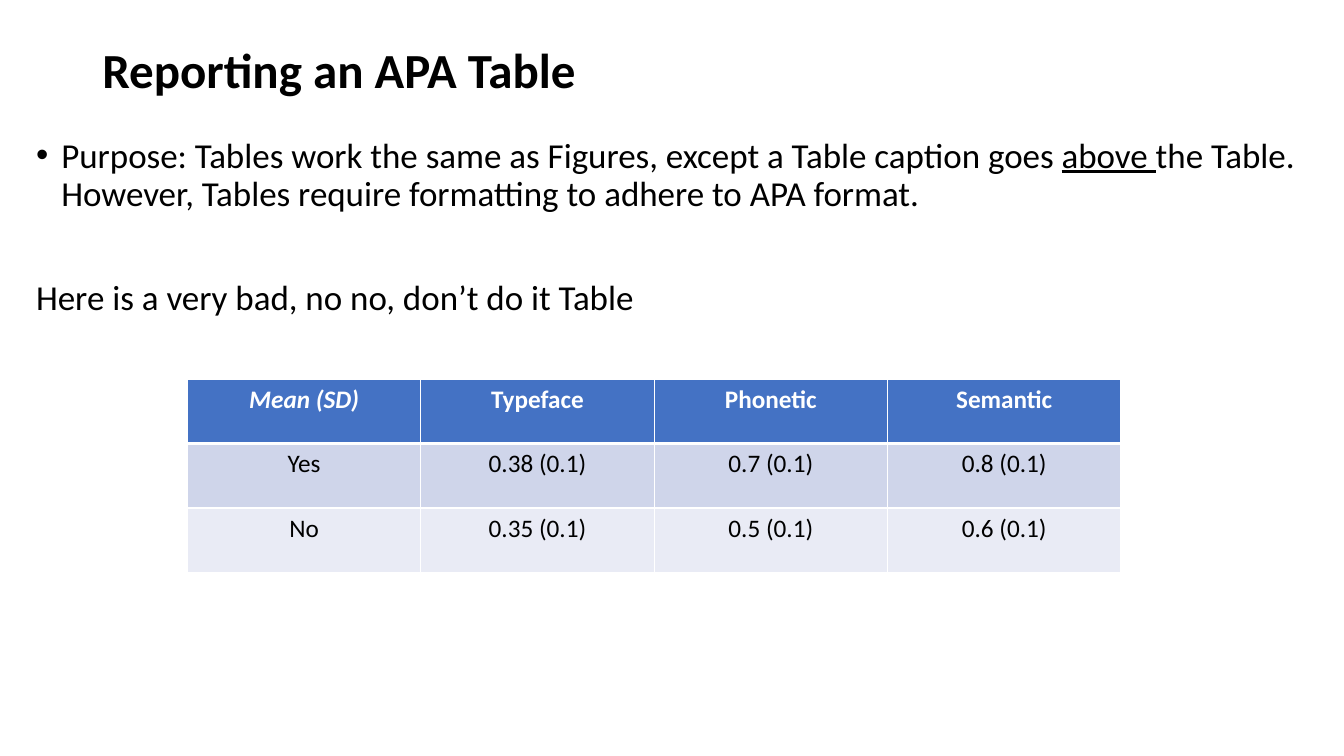
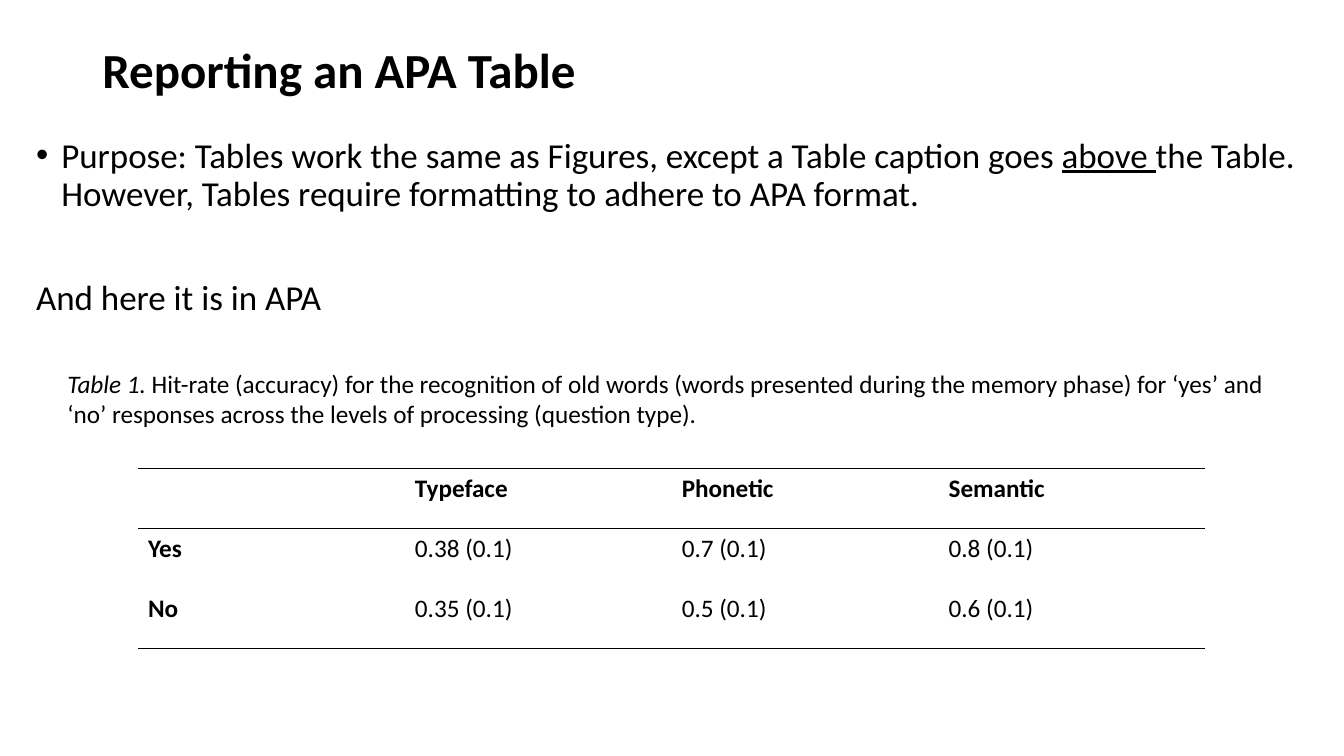
from dataclasses import dataclass
from typing import NamedTuple

from lxml import etree
from pptx import Presentation
from pptx.dml.color import RGBColor
from pptx.enum import text as t
from pptx.oxml import ns
from pptx.util import Pt

FONT = "Calibri"
BLACK, WHITE = "000000", "FFFFFF"
BLUE, BAND, PALE = "4472C4", "CFD5EA", "E9EBF5"
LEFT, MID = t.PP_ALIGN.LEFT, t.PP_ALIGN.CENTER
DATA = [
    ["Typeface", "Phonetic", "Semantic"],
    ["0.38 (0.1)", "0.7 (0.1)", "0.8 (0.1)"],
    ["0.35 (0.1)", "0.5 (0.1)", "0.6 (0.1)"],
]


class Box(NamedTuple):
    left: float
    top: float
    width: float
    height: float


class Span(NamedTuple):
    text: str
    bold: bool = False
    italic: bool = False
    under: bool = False


@dataclass
class Para:
    spans: list[Span]
    size: float
    line: float = 1.0
    before: float = 0
    bullet: bool = False


@dataclass
class Grid:
    box: Box
    corner: str
    align: t.PP_ALIGN
    apa: bool


TITLE = Box(66, 0, 828, 104.4)
BODY = Box(18.72, 95.04, 922.32, 429.12)
CAPTION = Box(41.04, 259.2, 887.04, 51.12)
PURPOSE = [
    Span("Purpose: Tables work the same as Figures, except a Table caption goes "),
    Span("above ", under=True),
    Span("the Table. However, Tables require formatting to adhere to APA format."),
]
NOTE = [
    Span("Table 1.", italic=True),
    Span(" Hit-rate (accuracy) for the recognition of old words (words presented "
         "during the memory phase) for ‘yes’ and ‘no’ responses across the levels "
         "of processing (question type)."),
]
BAD = Grid(Box(133.9, 270.8, 666.72, 138.24), "Mean (SD)", MID, False)
GOOD = Grid(Box(98.6, 334.8, 762.5, 128.7), "", LEFT, True)


def rgb(code: str) -> RGBColor:
    return RGBColor.from_string(code)


def style(run, size: float, span: Span, color: str = BLACK) -> None:
    font = run.font
    font.name, font.size = FONT, Pt(size)
    font.bold, font.italic, font.underline = span.bold, span.italic, span.under
    font.color.rgb = rgb(color)


# Text boxes
def add_bullet(para) -> None:
    props = para._p.get_or_add_pPr()
    props.set("marL", str(Pt(18)))
    props.set("indent", str(-Pt(18)))
    etree.SubElement(props, ns.qn("a:buFont")).set("typeface", "Arial")
    etree.SubElement(props, ns.qn("a:buChar")).set("char", "•")


def add_text(slide, box: Box, paras: list[Para],
             anchor: t.MSO_ANCHOR = t.MSO_ANCHOR.TOP) -> None:
    frame = slide.shapes.add_textbox(*map(Pt, box)).text_frame
    frame.word_wrap = True
    frame.vertical_anchor = anchor
    for i, item in enumerate(paras):
        para = frame.add_paragraph() if i else frame.paragraphs[0]
        para.line_spacing, para.space_before = item.line, Pt(item.before)
        if item.bullet:
            add_bullet(para)
        for span in item.spans:
            run = para.add_run()
            run.text = span.text
            style(run, item.size, span)


# Tables
def add_edge(cell, side: str, width: float, color: str) -> None:
    props = cell._tc.get_or_add_tcPr()
    line = etree.SubElement(props, ns.qn(f"a:ln{side}"), w=str(Pt(width)))
    if width:
        fill = etree.SubElement(line, ns.qn("a:solidFill"))
        etree.SubElement(fill, ns.qn("a:srgbClr")).set("val", color)
    else:
        etree.SubElement(line, ns.qn("a:noFill"))


def edges(row: int, last: int, apa: bool) -> dict[str, float]:
    if apa:
        return {"L": 0, "R": 0, "T": int(row <= 1), "B": int(row in (0, last))}
    return {"L": 1, "R": 1, "T": 3 if row == 1 else 1, "B": 1 if row else 3}


def add_grid(slide, grid: Grid) -> None:
    heads = [grid.corner, "Yes", "No"]
    rows = [[head, *vals] for head, vals in zip(heads, DATA)]
    last = len(rows) - 1
    table = slide.shapes.add_table(
        len(rows), len(rows[0]), *map(Pt, grid.box)).table
    table.first_row = table.horz_banding = False
    for r, vals in enumerate(rows):
        for c, val in enumerate(vals):
            cell = table.cell(r, c)
            for side, width in edges(r, last, grid.apa).items():
                add_edge(cell, side, width, BLACK if grid.apa else WHITE)
            if grid.apa:
                cell.fill.background()
            else:
                cell.fill.solid()
                cell.fill.fore_color.rgb = rgb((BLUE, BAND, PALE)[r])
            para = cell.text_frame.paragraphs[0]
            para.text, para.alignment = val, grid.align
            bold = r == 0 or (grid.apa and c == 0)
            ink = WHITE if r == 0 and not grid.apa else BLACK
            for run in para.runs:
                style(run, 18, Span(val, bold, r == c == 0), ink)


# Slides
def add_page(deck, lead: str, grid: Grid):
    slide = deck.slides.add_slide(deck.slide_layouts[6])
    head = Span("Reporting an APA Table", bold=True)
    add_text(slide, TITLE, [Para([head], 35, 0.9)], t.MSO_ANCHOR.MIDDLE)
    add_text(slide, BODY, [
        Para(PURPOSE, 25, 0.9, bullet=True),
        Para([Span(lead)], 25, 0.9, before=47.5),
    ])
    add_grid(slide, grid)
    return slide


deck = Presentation()
deck.slide_width, deck.slide_height = Pt(960), Pt(540)
add_page(deck, "Here is a very bad, no no, don’t do it Table", BAD)
page = add_page(deck, "And here it is in APA", GOOD)
add_text(page, CAPTION, [Para(NOTE, 18)])
deck.save("out.pptx")
